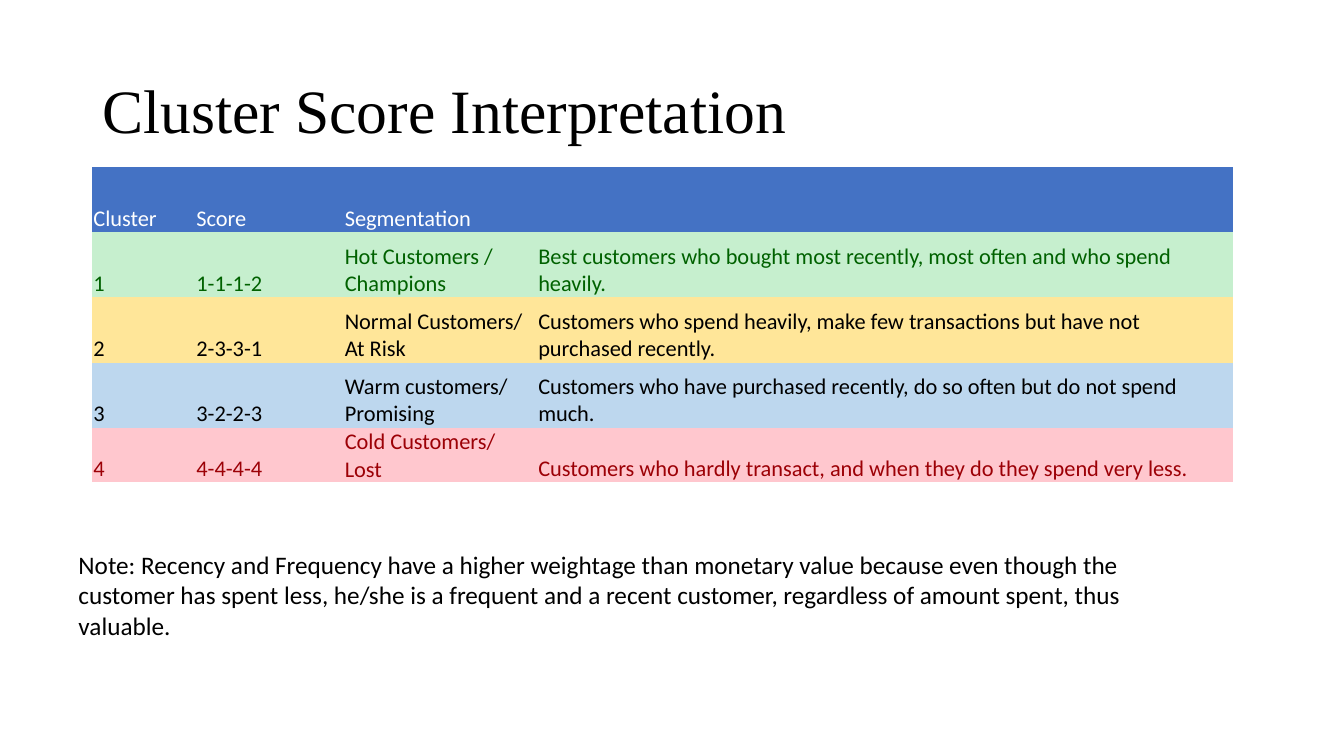
from dataclasses import dataclass

from pptx import Presentation
from pptx.dml.color import RGBColor
from pptx.enum.text import MSO_ANCHOR
from pptx.util import Pt


@dataclass(frozen=True)
class Theme:
    title_font: str = "Times New Roman"
    body_font: str = "Calibri"
    title_size: float = 44
    note_size: float = 18
    table_size: float = 16
    black: str = "000000"
    white: str = "FFFFFF"
    header_fill: str = "4472C4"
    hot_fill: str = "C6EFCE"
    hot_text: str = "006100"
    normal_fill: str = "FFE699"
    warm_fill: str = "BDD7EE"
    cold_fill: str = "FFC7CE"
    cold_text: str = "9C0006"


THEME = Theme()
PLAIN_TABLE_STYLE = "{2D5ABB26-0587-4C30-8999-92F81FD0307C}"
COLUMN_WIDTHS = (73.6, 106, 138.2, 497)
ROW_HEIGHTS = (46.5, 46.5, 46.5, 46.5, 37)
SEGMENT_ROWS = (
    (THEME.header_fill, THEME.white,
     ("Cluster ", "Score", "Segmentation", "")),
    (THEME.hot_fill, THEME.hot_text,
     ("1", "1-1-1-2", "Hot Customers / Champions",
      "Best customers who bought most recently, most often and who spend heavily. ")),
    (THEME.normal_fill, THEME.black,
     ("2", "2-3-3-1", "Normal Customers/ At Risk",
      "Customers who spend heavily, make few transactions but have not purchased recently.")),
    (THEME.warm_fill, THEME.black,
     ("3", "3-2-2-3", "Warm customers/ Promising",
      "Customers who have purchased recently, do so often but do not spend much.")),
    (THEME.cold_fill, THEME.cold_text,
     ("4", "4-4-4-4", "Cold Customers/ Lost",
      "Customers who hardly transact, and when they do they spend very less.")),
)
NOTE = (
    "Note: Recency and Frequency have a higher weightage than monetary value "
    "because even though the customer has spent less, he/she is a frequent and "
    "a recent customer, regardless of amount spent, thus valuable."
)


def write_text(frame, text, font, size, color):
    frame.text = text
    for paragraph in frame.paragraphs:
        for span in paragraph.runs:
            span.font.name = font
            span.font.size = Pt(size)
            span.font.color.rgb = RGBColor.from_string(color)


def add_text(page, bounds, text, font, size, anchor=MSO_ANCHOR.TOP, line_spacing=None):
    box = page.shapes.add_textbox(*map(Pt, bounds))
    frame = box.text_frame
    frame.word_wrap = True
    frame.vertical_anchor = anchor
    write_text(frame, text, font, size, THEME.black)
    frame.paragraphs[0].line_spacing = line_spacing


def fill_cell(cell, text, fill, color):
    cell.fill.solid()
    cell.fill.fore_color.rgb = RGBColor.from_string(fill)
    cell.vertical_anchor = MSO_ANCHOR.BOTTOM
    cell.margin_left = cell.margin_right = cell.margin_top = Pt(0.75)
    cell.margin_bottom = Pt(0)
    write_text(cell.text_frame, text, THEME.body_font, THEME.table_size, color)


def add_segment_table(page, left, top):
    frame = page.shapes.add_table(
        len(SEGMENT_ROWS), len(COLUMN_WIDTHS), Pt(left), Pt(top),
        Pt(sum(COLUMN_WIDTHS)), Pt(sum(ROW_HEIGHTS)))
    table = frame.table
    table.first_row = table.horz_banding = False
    table._tbl.tblPr[0].text = PLAIN_TABLE_STYLE
    for column, width in zip(table.columns, COLUMN_WIDTHS):
        column.width = Pt(width)
    for row, height, (fill, color, texts) in zip(table.rows, ROW_HEIGHTS, SEGMENT_ROWS):
        row.height = Pt(height)
        for cell, text in zip(row.cells, texts):
            fill_cell(cell, text, fill, color)


def main():
    deck = Presentation()
    deck.slide_width, deck.slide_height = Pt(960), Pt(540)
    page = deck.slides.add_slide(deck.slide_layouts[6])
    add_text(page, (66, 28.75, 828, 104.4), "Cluster Score Interpretation",
             THEME.title_font, THEME.title_size, MSO_ANCHOR.MIDDLE, 0.9)
    add_text(page, (49, 389, 825, 72.7), NOTE, THEME.body_font, THEME.note_size)
    add_segment_table(page, 66, 119.5)
    deck.save("out.pptx")


main()
